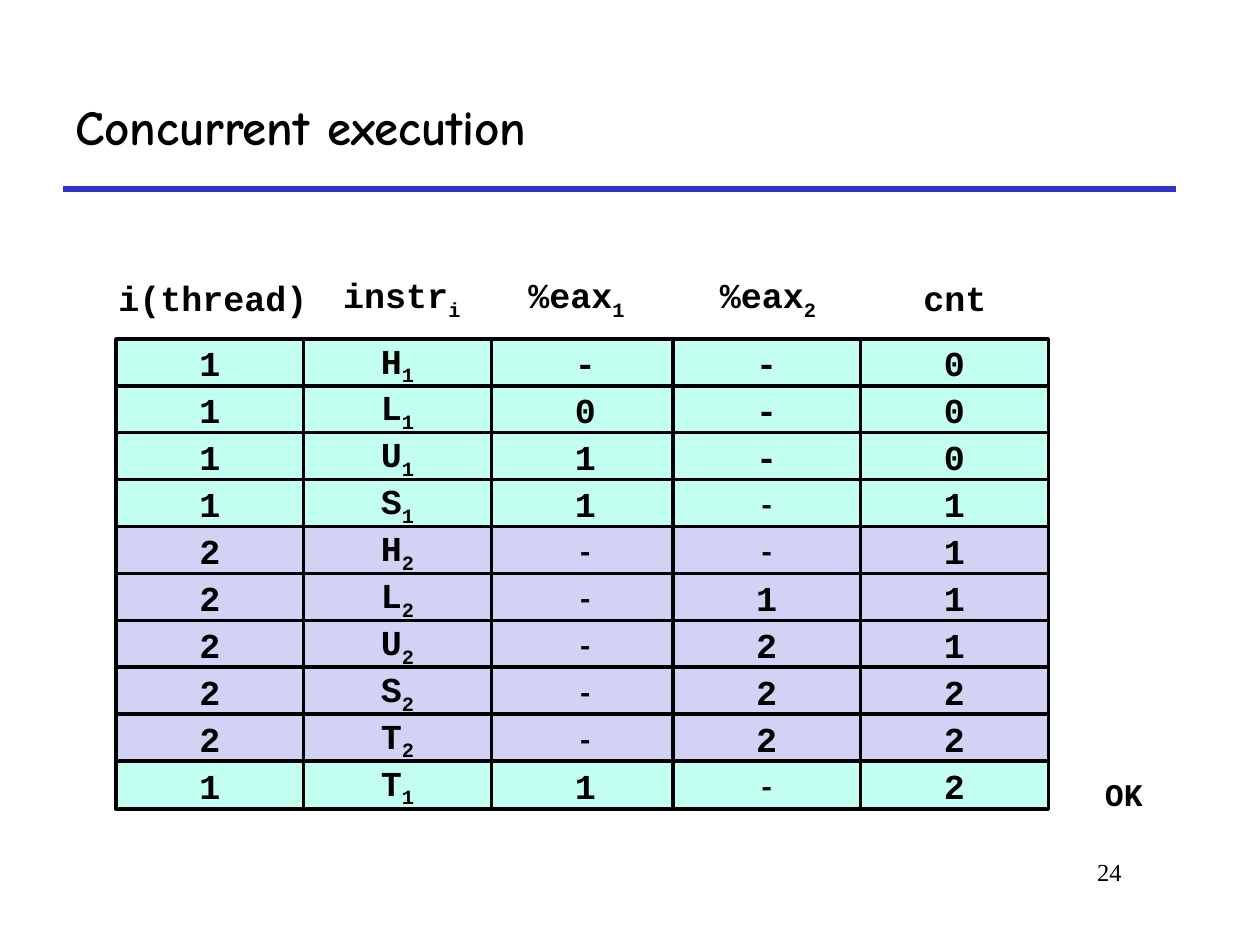
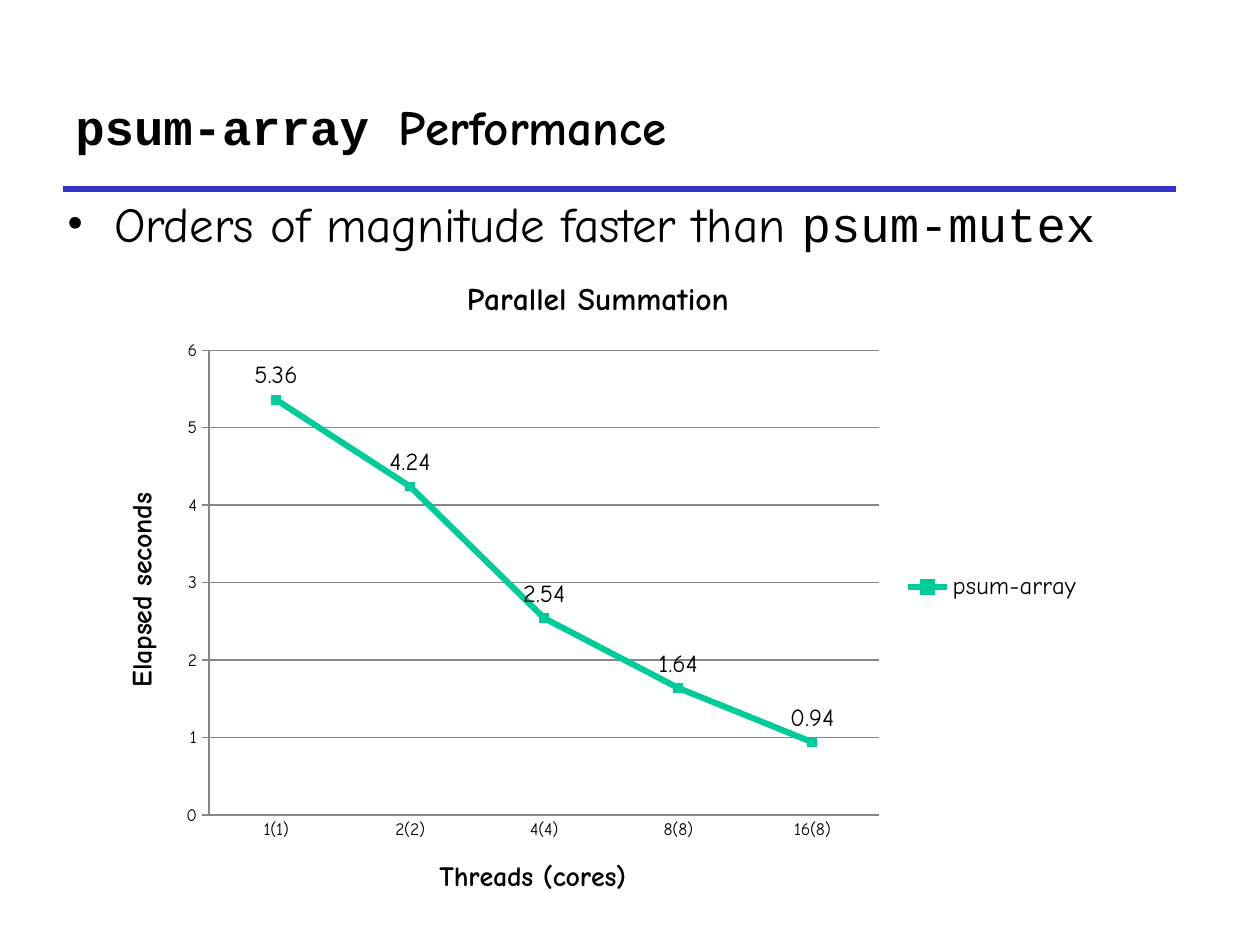
"""Build two lecture slides: a concurrent execution trace and a performance chart."""
from dataclasses import dataclass

from lxml import etree
from pptx import Presentation
from pptx.chart.data import CategoryChartData
from pptx.dml.color import RGBColor
from pptx.enum.chart import (XL_CHART_TYPE, XL_LABEL_POSITION, XL_LEGEND_POSITION,
                             XL_MARKER_STYLE, XL_TICK_MARK)
from pptx.enum.shapes import MSO_CONNECTOR, MSO_SHAPE
from pptx.enum.text import MSO_ANCHOR, MSO_AUTO_SIZE, PP_ALIGN
from pptx.oxml import parse_xml
from pptx.oxml.ns import nsdecls, qn
from pptx.util import Inches, Pt

CENTER, LEFT, RIGHT = PP_ALIGN.CENTER, PP_ALIGN.LEFT, PP_ALIGN.RIGHT
TOP, MIDDLE = MSO_ANCHOR.TOP, MSO_ANCHOR.MIDDLE
GROW = MSO_AUTO_SIZE.SHAPE_TO_FIT_TEXT
STRAIGHT, RECTANGLE = MSO_CONNECTOR.STRAIGHT, MSO_SHAPE.RECTANGLE
LINE_MARKERS, SQUARE = XL_CHART_TYPE.LINE_MARKERS, XL_MARKER_STYLE.SQUARE
ABOVE, LEGEND_RIGHT = XL_LABEL_POSITION.ABOVE, XL_LEGEND_POSITION.RIGHT
TICK_NONE, TICK_OUT = XL_TICK_MARK.NONE, XL_TICK_MARK.OUTSIDE


@dataclass(frozen=True)
class Theme:
    ink: str = "000000"
    rule: str = "3333CC"
    thread1: str = "C2FFF0"
    thread2: str = "D2D2F4"
    series: str = "00CC99"
    grid: str = "878787"
    sans: str = "Comic Neue"
    mono: str = "Courier New"
    serif: str = "Times New Roman"
    heading: int = 28
    code: int = 20
    verdict: int = 18
    small_dash: int = 16
    page: int = 14
    chart_title: int = 18
    axis_title: int = 16
    chart_label: int = 14
    tick: int = 10


THEME = Theme()
WIDTH, HEIGHT = 10, 7.5

TRACE_TITLE = [("Concurrent execution", THEME.sans)]
TRACE_COLUMNS = [
    {"header": "i(thread)", "left": 0.92, "header_left": 0.83, "header_width": 1.72},
    {"header": "instr_i", "left": 2.41, "header_left": 2.61, "header_width": 1.16},
    {"header": "%eax_1", "left": 3.9, "header_left": 4.08, "header_width": 0.99},
    {"header": "%eax_2", "left": 5.34, "header_left": 5.6, "header_width": 0.99},
    {"header": "cnt", "left": 6.83, "header_left": 7.08, "header_width": 1},
]
TRACE = [
    ("1", "H_1", "-", "-", "0"),
    ("1", "L_1", "0", "-", "0"),
    ("1", "U_1", "1", "-", "0"),
    ("1", "S_1", "1", "-", "1"),
    ("2", "H_2", "-", "-", "1"),
    ("2", "L_2", "-", "1", "1"),
    ("2", "U_2", "-", "2", "1"),
    ("2", "S_2", "-", "2", "2"),
    ("2", "T_2", "-", "2", "2"),
    ("1", "T_1", "1", "-", "2"),
]
SMALL_DASH_FROM = 3
VERDICT = "OK"
PAGE_NUMBER = "24"
FIRST_ROW_TOP, LAST_ROW_TOP = 2.69, 6.04
CELL_WIDTH, CELL_HEIGHT = 1.49, 0.38
HEADER_TOP, HEADER_HEIGHT = 2.14, 0.44

PERFORMANCE_TITLE = [("psum-array ", THEME.mono), ("Performance", THEME.sans)]
FINDING = [("Orders of magnitude faster than ", THEME.sans), ("psum-mutex", THEME.mono)]
SUMMATION = {
    "title": "Parallel Summation",
    "x": "Threads (cores)",
    "y": "Elapsed seconds",
    "series": "psum-array",
    "seconds": {"1(1)": 5.36, "2(2)": 4.24, "4(4)": 2.54, "8(8)": 1.64, "16(8)": 0.94},
}
CHART_BOX = (0.8, 2, 7.89, 5.32)
PLOT_BOX = (1.66, 2.78, 5.32, 3.69)


def color(value):
    return RGBColor.from_string(value)


def style(font, size, face=None, bold=False):
    font.size, font.bold = Pt(size), bold
    font.color.rgb = color(THEME.ink)
    if face:
        font.name = face


def add_text(slide, box, runs, size, bold=False, align=LEFT, anchor=TOP, label=False):
    """Add a text box of (text, typeface) runs; a label stays on one line."""
    frame = slide.shapes.add_textbox(*map(Inches, box)).text_frame
    frame.word_wrap, frame.vertical_anchor = not label, anchor
    if label:
        frame.auto_size = GROW
    paragraph = frame.paragraphs[0]
    paragraph.alignment = align
    style(paragraph.font, size, bold=bold)
    for text, face in runs:
        run = paragraph.add_run()
        run.text = text
        style(run.font, size, face, bold)
    return paragraph


def write_code(paragraph, text, size=THEME.code):
    """Write centred code text; what follows an underscore is a subscript."""
    paragraph.alignment = CENTER
    style(paragraph.font, size, THEME.mono, True)
    base, _, subscript = text.partition("_")
    for part, offset in ((base, None), (subscript, "-25000")):
        if part:
            run = paragraph.add_run()
            run.text = part
            style(run.font, size, THEME.mono, True)
            if offset:
                run.font._element.set("baseline", offset)


def add_base(deck, title):
    """Add a blank slide with the shared title and rule."""
    slide = deck.slides.add_slide(deck.slide_layouts[6])
    rule = slide.shapes.add_connector(STRAIGHT, *map(Inches, (0.5, 1.5, 9.33, 1.5)))
    rule.line.color.rgb, rule.line.width = color(THEME.rule), Pt(3)
    etree.SubElement(rule._element.spPr, qn("a:effectLst"))
    add_text(slide, (0.5, 0.5, 8.83, 1), title, THEME.heading, bold=True, anchor=MIDDLE)
    return slide


def add_cell(slide, left, top, fill, value, size):
    cell = slide.shapes.add_shape(
        RECTANGLE, *map(Inches, (left, top, CELL_WIDTH, CELL_HEIGHT)))
    cell.shadow.inherit = False
    cell.fill.solid()
    cell.fill.fore_color.rgb = color(fill)
    cell.line.color.rgb, cell.line.width = color(THEME.ink), Pt(2)
    cell.text_frame.vertical_anchor = MIDDLE
    write_code(cell.text_frame.paragraphs[0], value, size)


def build_trace(deck):
    slide = add_base(deck, TRACE_TITLE)
    pitch = (LAST_ROW_TOP - FIRST_ROW_TOP) / (len(TRACE) - 1)
    for c, column in enumerate(TRACE_COLUMNS):
        box = (column["header_left"], HEADER_TOP, column["header_width"], HEADER_HEIGHT)
        header = add_text(slide, box, [], THEME.code, anchor=MIDDLE, label=True)
        write_code(header, column["header"])
        for r, step in enumerate(TRACE):
            fill = THEME.thread1 if step[0] == "1" else THEME.thread2
            small = step[c] == "-" and r >= SMALL_DASH_FROM
            add_cell(slide, column["left"], FIRST_ROW_TOP + r * pitch, fill, step[c],
                     THEME.small_dash if small else THEME.code)

    add_text(slide, (8.67, 6.1, 0.5, 0.4), [(VERDICT, THEME.mono)], THEME.verdict,
             bold=True, align=CENTER, anchor=MIDDLE, label=True)
    add_text(slide, (7.58, 6.75, 1.42, 0.5), [(PAGE_NUMBER, THEME.serif)], THEME.page,
             align=RIGHT)


def title_chart_part(part, text, size):
    part.has_title = True
    frame = (part.chart_title if hasattr(part, "chart_title") else part.axis_title).text_frame
    frame.text = text
    style(frame.paragraphs[0].font, size, THEME.sans, True)
    return frame


def place_plot(chart):
    plot_area = chart._chartSpace.chart.plotArea
    for layout in plot_area.findall(qn("c:layout")):
        plot_area.remove(layout)
    left, top, width, height = CHART_BOX
    x, y, w, h = PLOT_BOX
    shares = {"x": (x - left) / width, "y": (y - top) / height, "w": w / width, "h": h / height}
    places = "".join(f'<c:{key} val="{share:.4f}"/>' for key, share in shares.items())
    plot_area.insert(0, parse_xml(
        f'<c:layout {nsdecls("c")}><c:manualLayout><c:layoutTarget val="inner"/>'
        f'<c:xMode val="edge"/><c:yMode val="edge"/>{places}</c:manualLayout></c:layout>'))


def add_bullet(paragraph):
    properties = paragraph._p.get_or_add_pPr()
    properties.set("marL", str(Inches(0.38)))
    properties.set("indent", str(Inches(-0.38)))
    spacing = properties.find(qn("a:spcBef"))
    spacing.addnext(parse_xml(f'<a:buChar {nsdecls("a")} char="•"/>'))
    spacing.addnext(parse_xml(f'<a:buFont {nsdecls("a")} typeface="{THEME.serif}"/>'))


def build_performance(deck):
    slide = add_base(deck, PERFORMANCE_TITLE)
    finding = add_text(slide, (0.43, 1.49, 8.64, 0.84), FINDING, THEME.heading)
    finding.space_before = Pt(6)
    add_bullet(finding)

    data = CategoryChartData()
    data.categories = list(SUMMATION["seconds"])
    data.add_series(SUMMATION["series"], list(SUMMATION["seconds"].values()))
    chart = slide.shapes.add_chart(LINE_MARKERS, *map(Inches, CHART_BOX), data).chart
    style(chart.font, THEME.tick, THEME.sans)
    title_chart_part(chart, SUMMATION["title"], THEME.chart_title)
    place_plot(chart)

    threads, seconds = chart.category_axis, chart.value_axis
    title_chart_part(threads, SUMMATION["x"], THEME.axis_title)
    seconds_title = title_chart_part(seconds, SUMMATION["y"], THEME.axis_title)
    seconds_title._txBody.find(qn("a:bodyPr")).set("rot", "-5400000")
    threads.major_tick_mark, seconds.major_tick_mark = TICK_NONE, TICK_OUT
    seconds.minimum_scale, seconds.maximum_scale, seconds.major_unit = 0, 6, 1
    seconds.has_major_gridlines = True
    for line in (threads.format.line, seconds.format.line, seconds.major_gridlines.format.line):
        line.color.rgb, line.width = color(THEME.grid), Pt(0.75)

    chart.has_legend = True
    chart.legend.position, chart.legend.include_in_layout = LEGEND_RIGHT, False
    style(chart.legend.font, THEME.chart_label, THEME.sans)

    plot = chart.plots[0]
    plot.vary_by_categories = False
    elapsed = plot.series[0]
    elapsed.smooth = False
    elapsed.format.line.color.rgb, elapsed.format.line.width = color(THEME.series), Pt(3.5)
    elapsed.marker.style, elapsed.marker.size = SQUARE, 5
    elapsed.marker.format.fill.solid()
    elapsed.marker.format.fill.fore_color.rgb = color(THEME.series)
    elapsed.marker.format.line.color.rgb = color(THEME.series)
    labels = elapsed.data_labels
    labels.show_value, labels.position = True, ABOVE
    style(labels.font, THEME.chart_label, THEME.sans)


def main():
    deck = Presentation()
    deck.slide_width, deck.slide_height = Inches(WIDTH), Inches(HEIGHT)
    build_trace(deck)
    build_performance(deck)
    deck.save("out.pptx")


if __name__ == "__main__":
    main()
